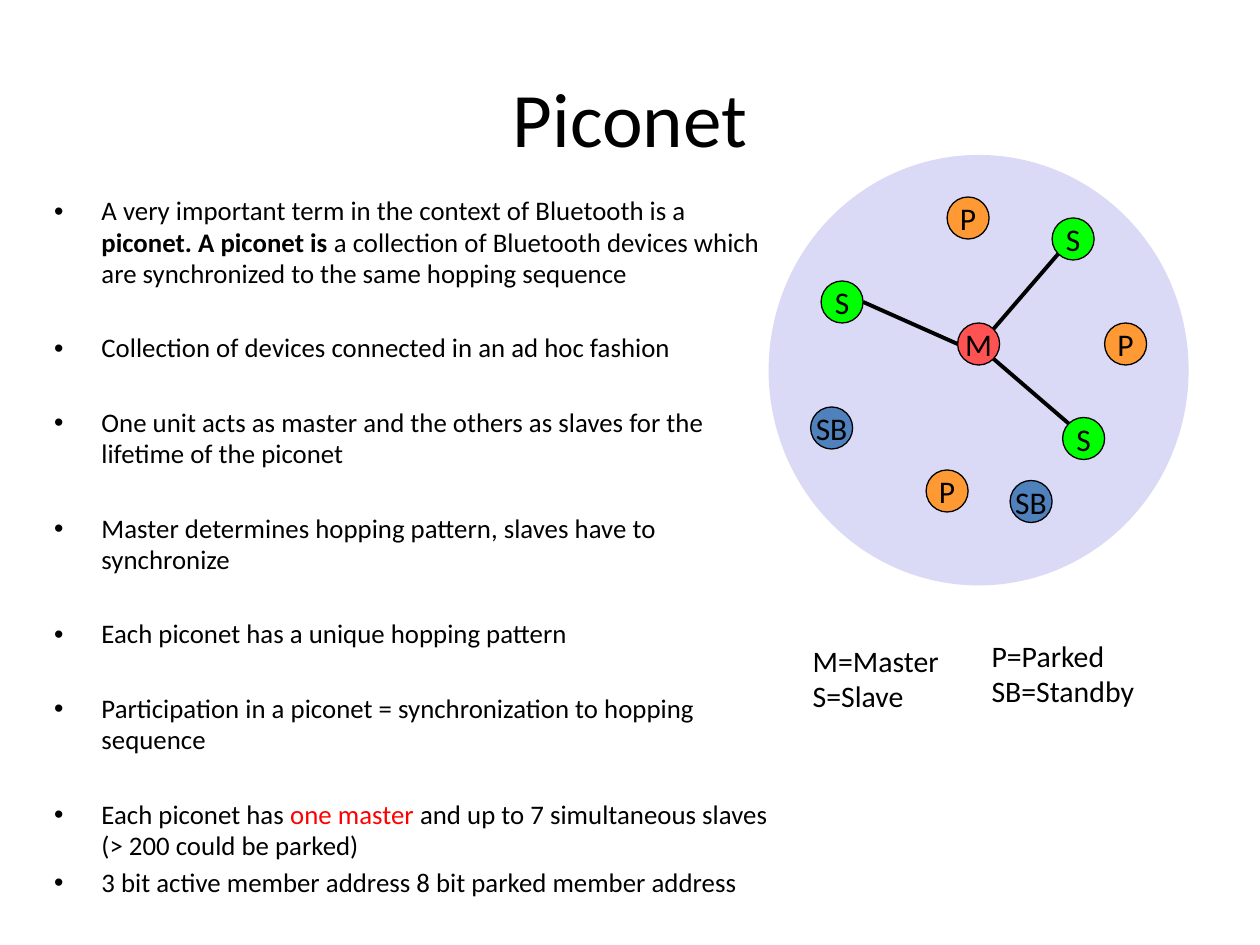
from pptx import Presentation
from pptx.dml.color import RGBColor
from pptx.enum.shapes import MSO_CONNECTOR as Connector, MSO_SHAPE as Shape
from pptx.enum.text import MSO_ANCHOR as Anchor, MSO_AUTO_SIZE as AutoSize, PP_ALIGN as Align
from pptx.util import Inches, Pt

COLORS = {"black": "000000", "highlight": "FF0000", "range": "DADAF6",
          "M": "FF5353", "S": "00FF00", "P": "FF9933", "SB": "4F81BD"}
FONT = "Calibri"
UNIT = Inches(1) / 12
NODE_SIZE = 4
NODES = [("M", 18, 16), ("S", 5, 12), ("P", 15, 30), ("SB", 4, 24), ("S", 27, 6),
         ("S", 28, 25), ("P", 17, 4), ("P", 32, 16), ("SB", 23, 31)]
SITES = {"left": (0, 0.5), "right": (1, 0.5), "top left": (0.15, 0.15),
         "bottom left": (0.15, 0.85), "top right": (0.85, 0.15),
         "bottom right": (0.85, 0.85)}
LINKS = [(0, "left", 1, "right"), (0, "top right", 4, "bottom left"),
         (5, "top left", 0, "bottom right")]
BULLETS = [
    [("A very important term in the context of Bluetooth is a ", None),
     ("piconet. A piconet is ", "bold"),
     ("a collection of Bluetooth devices which are synchronized to the same hopping sequence", None)],
    [("Collection of devices connected in an ad hoc fashion", None)],
    [("One unit acts as master and the others as slaves for the lifetime of the piconet", None)],
    [("Master determines hopping pattern, slaves have to synchronize", None)],
    [("Each piconet has a unique hopping pattern", None)],
    [("Participation in a piconet = synchronization to hopping sequence", None)],
    [("Each piconet has ", None), ("one master", "highlight"),
     (" and up to 7 simultaneous slaves (> 200 could be parked)", None)],
    [("3 bit active member address 8 bit parked member address", None)],
]


def color(name):
    """Return the named palette colour."""
    return RGBColor.from_string(COLORS[name])


def place(shape, box):
    """Move a shape to a box given in inches."""
    shape.left, shape.top, shape.width, shape.height = map(Inches, box)


def style(paragraph, size, align=None):
    """Set the font and alignment of a whole paragraph."""
    paragraph.font.name = FONT
    paragraph.font.size = Pt(size)
    paragraph.font.color.rgb = color("black")
    paragraph.alignment = align


def add_title(slide, box):
    """Fill the title placeholder."""
    title = slide.shapes.title
    place(title, box)
    title.text_frame.text = "Piconet"
    title.text_frame.vertical_anchor = Anchor.MIDDLE
    style(title.text_frame.paragraphs[0], 44, Align.CENTER)


def add_bullets(slide, box):
    """Fill the body placeholder with the spaced list of facts."""
    body = slide.placeholders[1]
    place(body, box)
    frame = body.text_frame
    frame.auto_size = AutoSize.NONE
    for index, parts in enumerate(BULLETS):
        paragraph = frame.add_paragraph() if index else frame.paragraphs[0]
        style(paragraph, 15.3)
        paragraph.line_spacing = 0.98
        paragraph.space_before = Pt(3 if index in (0, len(BULLETS) - 1) else 24.5)
        for text, emphasis in parts:
            run = paragraph.add_run()
            run.text = text
            if emphasis == "bold":
                run.font.bold = True
            elif emphasis:
                run.font.color.rgb = color(emphasis)


def add_ellipse(slide, box, fill):
    """Add a filled ellipse without shadow or outline."""
    ellipse = slide.shapes.add_shape(Shape.OVAL, *map(round, box))
    ellipse.shadow.inherit = False
    ellipse.fill.solid()
    ellipse.fill.fore_color.rgb = color(fill)
    ellipse.line.fill.background()
    return ellipse


def add_node(slide, box, label):
    """Add a device circle with its role letter."""
    node = add_ellipse(slide, box, label)
    node.line.color.rgb = color("black")
    node.line.width = Pt(0.75)
    frame = node.text_frame
    frame.word_wrap = False
    frame.vertical_anchor = Anchor.MIDDLE
    frame.text = label
    style(frame.paragraphs[0], 18, Align.CENTER)


def add_link(slide, start, end):
    """Join two points with a heavy line."""
    link = slide.shapes.add_connector(Connector.STRAIGHT, *map(round, start + end))
    link.line.color.rgb = color("black")
    link.line.width = Pt(2.25)
    properties = link._element.spPr
    properties.append(properties.makeelement(
        "{http://schemas.openxmlformats.org/drawingml/2006/main}effectLst", {}))


def add_network(slide, left, top):
    """Draw the radio range, its devices and the active links on a unit grid."""
    left, top = Inches(left), Inches(top)

    def site(index, name):
        """Locate a named point on the rim of a device."""
        _, column, row = NODES[index]
        across, down = SITES[name]
        return (left + (column + across * NODE_SIZE) * UNIT,
                top + (row + down * NODE_SIZE) * UNIT)

    add_ellipse(slide, (left, top, 40 * UNIT, 41 * UNIT), "range")
    for label, column, row in NODES:
        add_node(slide, (left + column * UNIT, top + row * UNIT,
                         NODE_SIZE * UNIT, NODE_SIZE * UNIT), label)
    for start, start_site, end, end_site in LINKS:
        add_link(slide, site(start, start_site), site(end, end_site))


def add_legend(slide, box, lines):
    """Add a text box that explains role letters."""
    frame = slide.shapes.add_textbox(*map(Inches, box)).text_frame
    frame.word_wrap = False
    frame.auto_size = AutoSize.SHAPE_TO_FIT_TEXT
    frame.margin_left = frame.margin_right = Inches(0.11)
    frame.text = "\n".join(lines)
    for paragraph in frame.paragraphs:
        style(paragraph, 17)


def main():
    """Build and save the slide."""
    presentation = Presentation()
    presentation.slide_width, presentation.slide_height = Inches(10), Inches(7.5)
    slide = presentation.slides.add_slide(presentation.slide_layouts[1])
    add_title(slide, (0.5, 0.3, 9, 1.25))
    add_bullets(slide, (0.33, 1.5, 5.92, 5))
    add_network(slide, 6.1, 1.23)
    add_legend(slide, (6.34, 5.05, 1.27, 0.67), ["M=Master", "S=Slave"])
    add_legend(slide, (7.76, 5.01, 1.54, 0.67), ["P=Parked", "SB=Standby"])
    presentation.save("out.pptx")


if __name__ == "__main__":
    main()
